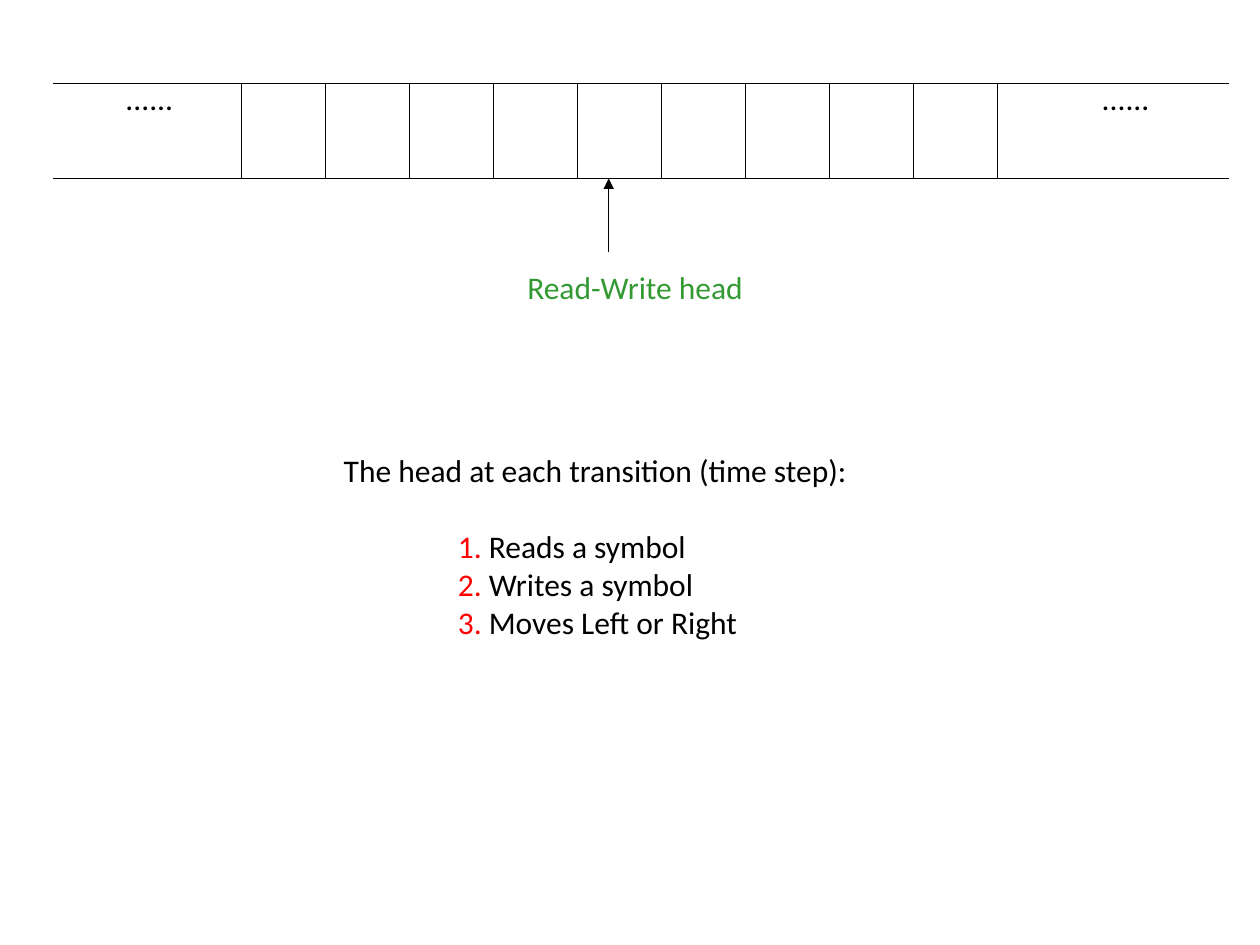
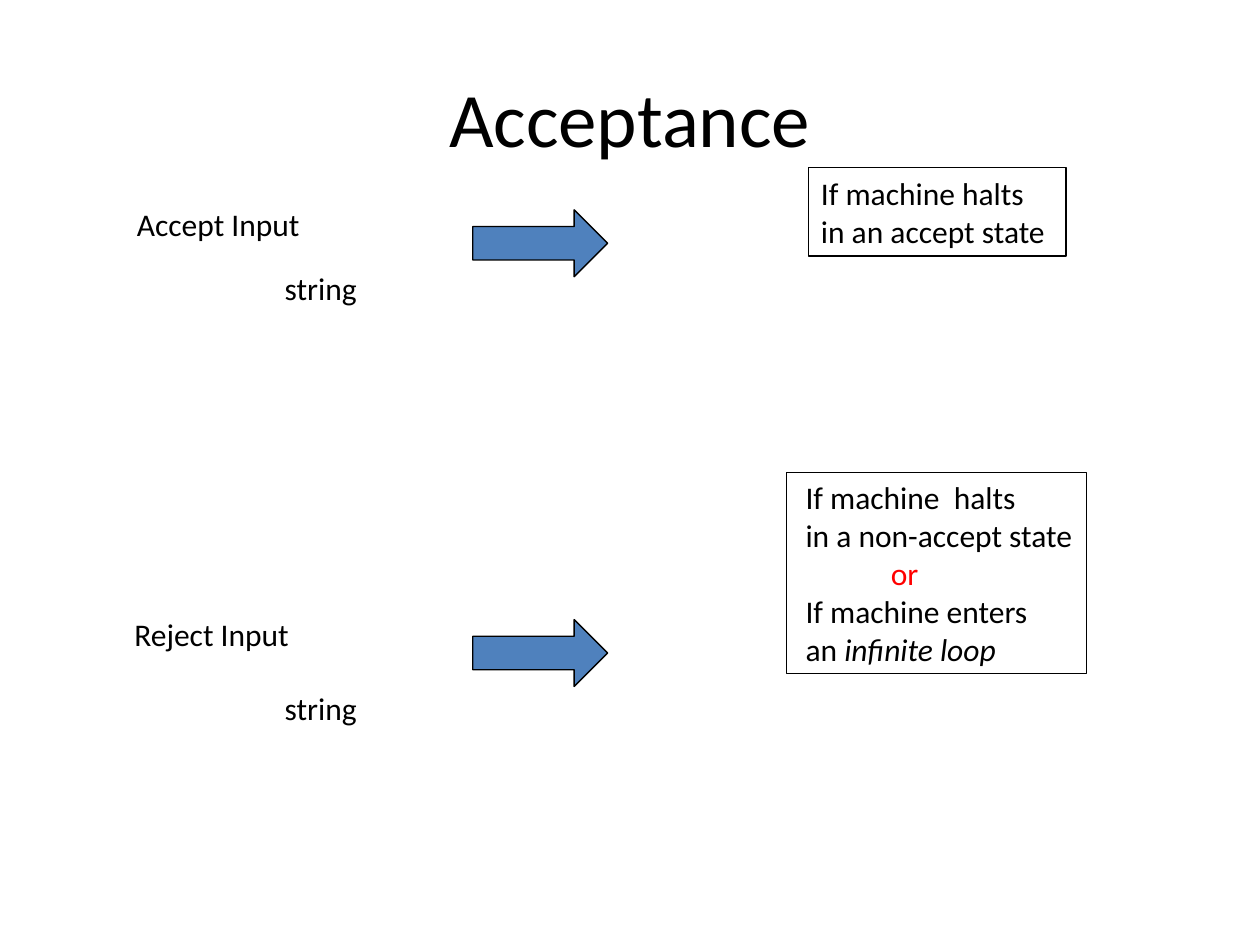
from lxml.etree import SubElement
from pptx import Presentation
from pptx.dml.color import RGBColor
from pptx.enum.shapes import MSO_CONNECTOR, MSO_SHAPE
from pptx.enum.text import MSO_ANCHOR, PP_ALIGN
from pptx.oxml.ns import qn
from pptx.util import Cm, Pt

FONT = "Calibri"
INK = {"black": "000000", "green": "339933", "red": "FF0000", "blue": "4F81BD"}
RULE = Pt(0.75)
LINE_GAP = 22


def color(name):
    return RGBColor.from_string(INK[name])


def style(para, size=18, ink="black"):
    para.font.name = FONT
    para.font.size = Pt(size)
    para.font.color.rgb = color(ink)


def write(shape, lines, ink="black"):
    """Fill a shape with lines, each (indent in cm, gap before in pt, runs).

    A run is plain text, or a tuple of text and "red" or "italic".
    """
    frame = shape.text_frame
    frame.word_wrap = False
    frame.vertical_anchor = MSO_ANCHOR.TOP
    for i, (indent, gap, runs) in enumerate(lines):
        para = frame.add_paragraph() if i else frame.paragraphs[0]
        para.alignment = PP_ALIGN.LEFT
        style(para, ink=ink)
        para.space_before = Pt(gap)
        props = para._p.get_or_add_pPr()
        props.set("marL", str(Cm(indent)))
        props.set("indent", "0")
        for item in runs:
            text, mark = item if isinstance(item, tuple) else (item, None)
            run = para.add_run()
            run.text = text
            if mark == "red":
                run.font.color.rgb = color("red")
            elif mark == "italic":
                run.font.italic = True


def label(slide, x, y, w, text, ink="black"):
    box = slide.shapes.add_textbox(Cm(x), Cm(y), Cm(w), Cm(1.03))
    write(box, [(0, 0, [text])], ink)


def rule(slide, x1, y1, x2, y2, arrow=False):
    line = slide.shapes.add_connector(
        MSO_CONNECTOR.STRAIGHT, Cm(x1), Cm(y1), Cm(x2), Cm(y2))
    line.line.color.rgb = color("black")
    line.line.width = RULE
    if arrow:
        SubElement(line.line._get_or_add_ln(), qn("a:tailEnd"), type="triangle")
    SubElement(line._element.spPr, qn("a:effectLst"))


def block(slide, kind, x, y, w, h, fill=None):
    shape = slide.shapes.add_shape(kind, Cm(x), Cm(y), Cm(w), Cm(h))
    shape.shadow.inherit = False
    if fill:
        shape.fill.solid()
        shape.fill.fore_color.rgb = color(fill)
    else:
        shape.fill.background()
    shape.line.color.rgb = color("black")
    shape.line.width = RULE
    return shape


def tape(slide, x, y, w, h):
    first, pitch, walls = 3.81, 1.693, 10
    for edge in (y, y + h):
        rule(slide, x, edge, x + w, edge)
    for i in range(walls):
        wall = x + first + i * pitch
        rule(slide, wall, y, wall, y + h)
    for dots in (1.22, 20.9):
        label(slide, x + dots, y - 0.22, 1.47, "......")
    head = x + 11.21
    rule(slide, head, y + h + 1.48, head, y + h, arrow=True)
    label(slide, head - 1.89, y + h + 1.68, 4.88, "Read-Write head", "green")


def steps(slide, x, y, w, h):
    box = slide.shapes.add_textbox(Cm(x), Cm(y), Cm(w), Cm(h))
    lines = [(0, 0, ["The head at each transition (time step):"])]
    deeds = ("Reads a symbol", "Writes a symbol", "Moves Left or Right")
    for i, deed in enumerate(deeds, 1):
        gap = LINE_GAP if i == 1 else 0
        lines.append((2.3, gap, [(f"{i}.", "red"), f" {deed}"]))
    write(box, lines)


def outcome(slide, y, verdict, shift, drop, box, lines):
    """One row: verdict and its second word, an arrow, and the framed condition."""
    label(slide, 2.46 + shift, y - 0.22, 3.8, verdict)
    label(slide, 5.49, y + drop, 1.96, "string")
    block(slide, MSO_SHAPE.RIGHT_ARROW, 9.53, y, 2.72, 1.35, "blue")
    x, rise, w, h = box
    write(block(slide, MSO_SHAPE.RECTANGLE, x, y - rise, w, h), lines)


def head_slide(deck):
    slide = deck.slides.add_slide(deck.slide_layouts[6])
    tape(slide, 1.06, 1.69, 23.71, 1.91)
    steps(slide, 6.68, 8.97, 10.67, 4.06)


def accept_slide(deck):
    slide = deck.slides.add_slide(deck.slide_layouts[5])
    title = slide.shapes.title
    title.left, title.top, title.width, title.height = map(
        Cm, (1.27, 0.76, 22.86, 3.18))
    title.text_frame.text = "Acceptance"
    title.text_frame.vertical_anchor = MSO_ANCHOR.MIDDLE
    para = title.text_frame.paragraphs[0]
    para.alignment = PP_ALIGN.CENTER
    style(para, 44)

    outcome(slide, 4.23, "Accept Input", 0.05, 1.06, (16.3, 0.85, 5.19, 1.78), [
        (0, 0, ["If machine halts"]),
        (0, 0, ["in an accept state"]),
    ])
    pad = 0.14
    outcome(slide, 12.49, "Reject Input", 0, 1.27, (15.85, 2.97, 6.05, 4.06), [
        (pad, 0, ["If machine  halts"]),
        (pad, 0, ["in a non-accept state"]),
        (1.86, 0, [("or", "red")]),
        (pad, 0, ["If machine enters"]),
        (pad, 0, ["an ", ("infinite loop", "italic")]),
    ])


def main():
    deck = Presentation()
    deck.slide_width, deck.slide_height = Cm(25.4), Cm(19.05)
    head_slide(deck)
    accept_slide(deck)
    deck.save("out.pptx")


if __name__ == "__main__":
    main()
